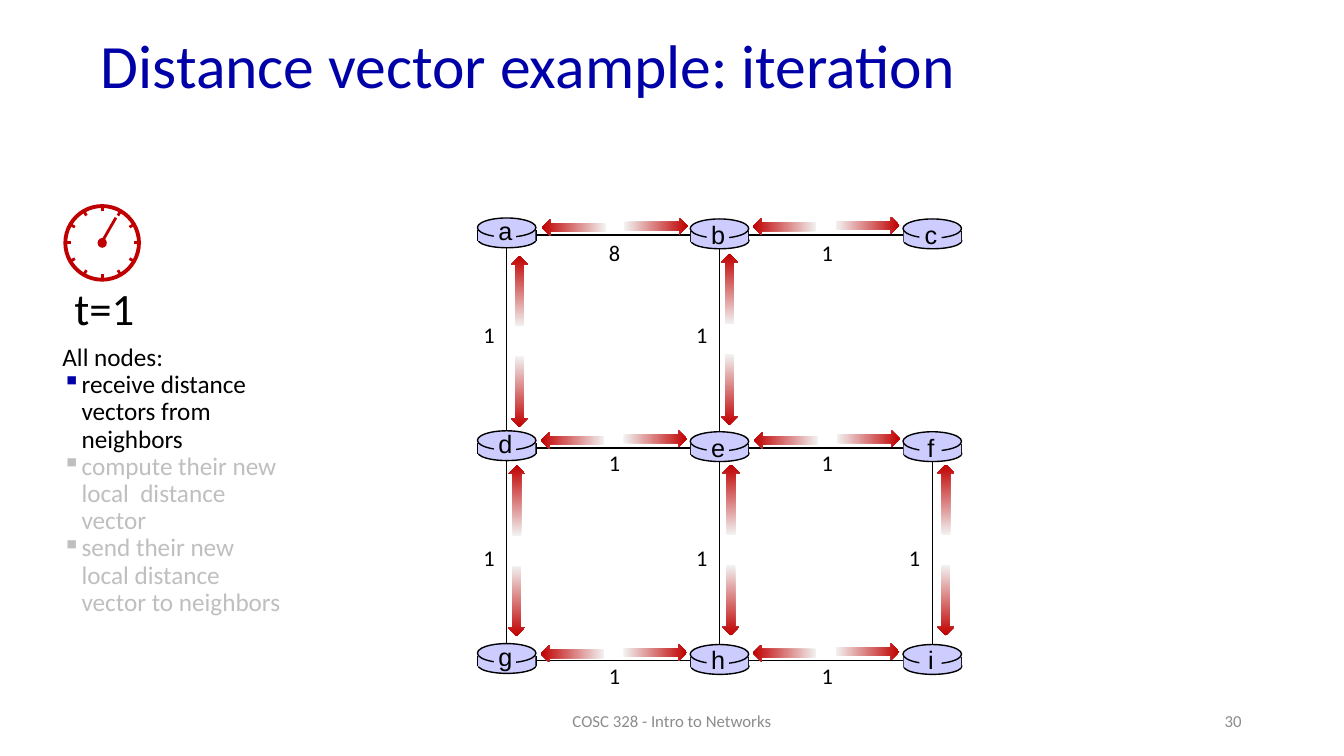
import math
import pptx
import pptx.util
import pptx.dml.color
import pptx.enum.shapes
import pptx.enum.text
from lxml import etree
from pptx.oxml.ns import qn

Pt = pptx.util.Pt
SHAPE = pptx.enum.shapes.MSO_SHAPE
ALIGN = pptx.enum.text.PP_ALIGN
ANCHOR = pptx.enum.text.MSO_ANCHOR

# Content
TITLE = "Distance vector example: iteration"
TIME = "t=1"
STEPS_HEADING = "All nodes:"
STEPS = [  # text, is it the current step
    ("receive distance vectors from neighbors", True),
    ("compute their new local  distance vector", False),
    ("send their new local distance vector to neighbors", False),
]
NODE_ROWS = ["abc", "def", "ghi"]
LINKS = [  # from, to, cost, sideways and downward shift of the arrows
    ("a", "b", "8", 1, 0), ("b", "c", "1", -0.5, -0.5),
    ("d", "e", "1", 0, 0), ("e", "f", "1", 0.5, 0),
    ("g", "h", "1", 0, 0.5), ("h", "i", "1", -0.5, 0),
    ("a", "d", "1", 1, 2.5), ("b", "e", "1", -1, 1),
    ("d", "g", "1", -1, 0), ("e", "h", "1", 0, -0.5), ("f", "i", "1", 1.5, -0.5),
]
FOOTER = "COSC 328 - Intro to Networks"
PAGE = "30"

# Look
THEME = {
    "title": "0000A8", "text": "000000", "muted": "BFBFBF", "footer": "8C8C8C",
    "clock": "C00000", "router": "CCCCFF", "arrow_tail": "F2F2F2", "arrow_head": "C00000",
    "font": "Calibri", "node_font": "Arial",
    "title_size": 44, "time_size": 32, "body_size": 18, "cost_size": 16, "footer_size": 12,
}

# Layout, in points
GRID_LEFT, GRID_TOP, GRID_STEP = 362, 168, 152
CLOCK_X, CLOCK_Y, CLOCK_RADIUS = 73, 173.5, 26.3
ARROW_HEIGHT = 12.2
NODES = {
    name: (GRID_LEFT + column * GRID_STEP, GRID_TOP + row * GRID_STEP)
    for row, names in enumerate(NODE_ROWS)
    for column, name in enumerate(names)
}


def color(key):
    return pptx.dml.color.RGBColor.from_string(THEME[key])


def add_line(shapes, x1, y1, x2, y2, color_key="text", width=1):
    line = shapes.add_connector(
        pptx.enum.shapes.MSO_CONNECTOR.STRAIGHT, Pt(x1), Pt(y1), Pt(x2), Pt(y2))
    line.line.color.rgb = color(color_key)
    line.line.width = Pt(width)
    etree.SubElement(line._element.spPr, qn("a:effectLst"))


def add_part(shapes, kind, x, y, width, height, fill=None, outline=None, weight=1):
    part = shapes.add_shape(kind, Pt(x), Pt(y), Pt(width), Pt(height))
    part.shadow.inherit = False
    if fill:
        part.fill.solid()
        part.fill.fore_color.rgb = color(fill)
    else:
        part.fill.background()
    if outline:
        part.line.color.rgb = color(outline)
        part.line.width = Pt(weight)
    else:
        part.line.fill.background()
    return part


def style(paragraph, size, color_key="text", font="font", align=ALIGN.LEFT):
    paragraph.alignment = align
    for run in paragraph.runs:
        run.font.size = Pt(THEME[size])
        run.font.name = THEME[font]
        run.font.color.rgb = color(color_key)


def add_text(shapes, text, x, y, width, height, size, color_key="text", font="font",
             align=ALIGN.LEFT, anchor=ANCHOR.TOP):
    frame = shapes.add_textbox(Pt(x), Pt(y), Pt(width), Pt(height)).text_frame
    frame.word_wrap = True
    frame.vertical_anchor = anchor
    frame.text = text
    style(frame.paragraphs[0], size, color_key, font, align)
    return frame


def add_bullet(paragraph, color_key):
    properties = paragraph._p.get_or_add_pPr()
    properties.set("marL", str(Pt(13.7)))
    properties.set("indent", str(-Pt(13.7)))
    bullet_color = etree.SubElement(properties, qn("a:buClr"))
    etree.SubElement(bullet_color, qn("a:srgbClr"), val=THEME[color_key])
    etree.SubElement(properties, qn("a:buChar"), char="▪")


def add_steps(shapes):
    frame = add_text(shapes, STEPS_HEADING, 37.5, 242.6, 173, 204, "body_size")
    for text, current in STEPS:
        step = frame.add_paragraph()
        step.text = text
        add_bullet(step, "title" if current else "muted")
        style(step, "body_size", "text" if current else "muted")
    for paragraph in frame.paragraphs:
        paragraph.line_spacing = 0.9


def add_clock(shapes):
    clock = shapes.add_group_shape().shapes
    add_part(clock, SHAPE.OVAL, CLOCK_X - CLOCK_RADIUS, CLOCK_Y - CLOCK_RADIUS,
             2 * CLOCK_RADIUS, 2 * CLOCK_RADIUS, None, "clock", 2.75)
    for hour in range(12):
        angle = math.radians(30 * hour)
        dx, dy = math.sin(angle), -math.cos(angle)
        add_line(clock, CLOCK_X + 22.5 * dx, CLOCK_Y + 22.5 * dy,
                 CLOCK_X + 27 * dx, CLOCK_Y + 27 * dy, "clock", 2)
    add_part(clock, SHAPE.OVAL, CLOCK_X - 3.3, CLOCK_Y - 3.5, 6.6, 7, "clock")
    add_line(clock, CLOCK_X + 9.8, CLOCK_Y - 18, CLOCK_X - 1, CLOCK_Y + 0.7, "clock", 2)


def add_router(shapes, name, x, y):
    router = shapes.add_group_shape().shapes
    first_column = x == GRID_LEFT
    top = y if first_column else y + 0.7
    add_part(router, SHAPE.OVAL, x - 20.5, top - 2.5, 41.5, 11.5, "router", "text")
    for side in (-20.5, 20.8):
        add_line(router, x + side, top - 3.5, x + side, top + 4)
    add_part(router, SHAPE.RECTANGLE, x - 20.5, top - 3.5, 41, 7.5, "router")
    add_part(router, SHAPE.OVAL, x - 21, top - 12.3, 41.8, 13.7, "router", "text")
    add_part(router, SHAPE.RECTANGLE, x - 9.2, top - 8.6, 15.8, 14.4, "router")
    add_text(router, name, x - 19, y - (17.5 if first_column else 15), 36, 29,
             "body_size", font="node_font", align=ALIGN.CENTER)


def add_arrow(shapes, center_x, center_y, length, rotation):
    arrow = add_part(shapes, SHAPE.RIGHT_ARROW, center_x - length / 2,
                     center_y - ARROW_HEIGHT / 2, length, ARROW_HEIGHT)
    arrow.fill.gradient()
    arrow.fill.gradient_angle = 0
    for stop, position, key in zip(arrow.fill.gradient_stops, (0, 1),
                                   ("arrow_tail", "arrow_head")):
        stop.position = position
        stop.color.rgb = color(key)
    arrow.rotation = rotation


def add_exchange(shapes, start, end, cost, shift_x, shift_y):
    x, y = NODES[start]
    if NODES[end][1] == y:
        add_arrow(shapes, x + 47 + shift_x, y - 5.5 + shift_y, 45.4, 180)
        add_arrow(shapes, x + 106 + shift_x / 2, y - 6.5 + shift_y, 45.4, 0)
        cost_x, cost_y = x + 65.8, y - (1 if y == GRID_TOP else 2.5)
    else:
        add_arrow(shapes, x + 8.2 + shift_x, y + 37.5 + shift_y, 50.4, 270)
        add_arrow(shapes, x + 8 + shift_x, y + 109.2 + shift_y, 50.4, 90)
        cost_x, cost_y = x - 23.8, y + (58 if y == GRID_TOP else 65)
    add_text(shapes, cost, cost_x, cost_y, 24, 26.6, "cost_size")


def main():
    deck = pptx.Presentation()
    deck.slide_width, deck.slide_height = Pt(960), Pt(540)
    shapes = deck.slides.add_slide(deck.slide_layouts[6]).shapes

    # Title and the current step
    title = add_text(shapes, TITLE, 65, 14, 828, 70, "title_size", "title", anchor=ANCHOR.MIDDLE)
    title.paragraphs[0].line_spacing = 0.9
    add_steps(shapes)
    add_text(shapes, TIME, 46, 197.3, 70, 46, "time_size")
    add_clock(shapes)

    # Network: links, routers, then the exchanged vectors
    for start, end, *_ in LINKS:
        add_line(shapes, *NODES[start], *NODES[end])
    for name, (x, y) in NODES.items():
        add_router(shapes, name, x, y)
    for link in LINKS:
        add_exchange(shapes, *link)

    # Footer
    add_text(shapes, FOOTER, 318, 500.5, 324, 28.8, "footer_size", "footer",
             align=ALIGN.CENTER, anchor=ANCHOR.MIDDLE)
    add_text(shapes, PAGE, 678, 500.5, 216, 28.8, "footer_size", "footer",
             align=ALIGN.RIGHT, anchor=ANCHOR.MIDDLE)

    deck.save("out.pptx")


if __name__ == "__main__":
    main()
